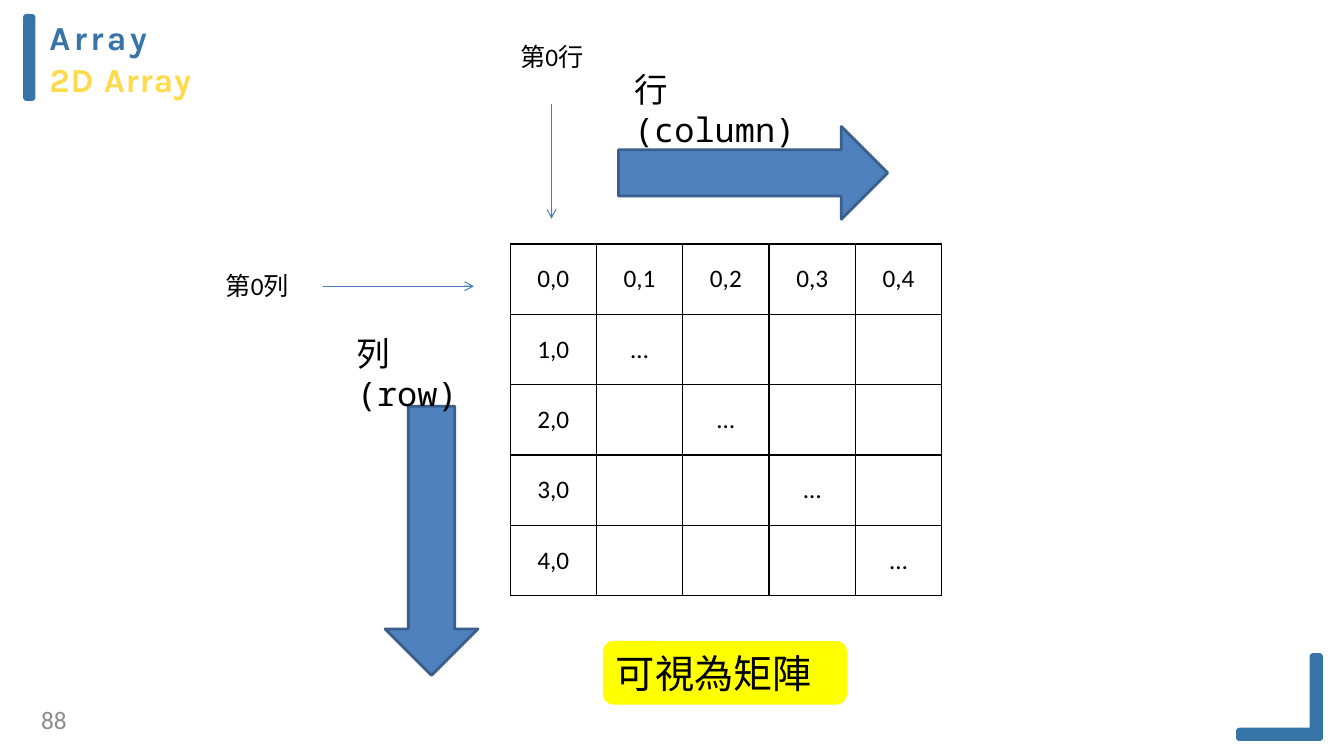
from dataclasses import dataclass

from lxml import etree
from pptx import Presentation
from pptx import util as u
from pptx.dml import color
from pptx.enum import shapes, text
from pptx.oxml import ns

PX = 9144
COLORS = {
    "black": "000000",
    "title": "3774A7",
    "subtitle": "FFDA4A",
    "bar": "3775A9",
    "number": "8C8C8C",
    "arrow": "4F81BD",
    "arrow_edge": "3A5F8C",
    "pointer": "4B7EBC",
    "highlight": "FFFF00",
}
CJK = "Noto Sans CJK SC"
MONO = "Noto Sans Mono"
BODY = "Calibri"
GRID = 5


@dataclass(frozen=True)
class Box:
    left: int
    top: int
    width: int
    height: int

    def emu(self) -> tuple[int, int, int, int]:
        return self.left * PX, self.top * PX, self.width * PX, self.height * PX


@dataclass(frozen=True)
class Run:
    words: str
    size: int
    font: str
    color: str = "black"
    bold: bool = False
    spacing: int = 0


@dataclass(frozen=True)
class Label:
    box: Box
    runs: tuple[Run, ...]


@dataclass(frozen=True)
class Figure:
    kind: shapes.MSO_SHAPE
    box: Box
    fill: str
    edge: str = ""
    edge_width: int = 0
    rotation: int = 0


@dataclass(frozen=True)
class Pointer:
    start: tuple[int, int]
    end: tuple[int, int]


BARS = [Box(25, 16, 8, 82), Box(1301, 650, 9, 83), Box(1228, 724, 82, 9)]
BLOCK_ARROWS = [(Box(382, 403, 92, 267), 0), (Box(701, 38, 92, 267), 270)]
LABELS = [
    Label(Box(344, 325, 142, 50), (Run("列", 24, CJK), Run("(row)", 24, MONO))),
    Label(Box(619, 63, 200, 50), (Run("行", 24, CJK), Run("(column)", 24, MONO))),
    Label(Box(214, 263, 125, 40), (Run("第0列", 18, BODY),)),
    Label(Box(506, 36, 88, 40), (Run("第0行", 18, BODY),)),
]
POINTERS = [Pointer((320, 284), (470, 284)), Pointer((547, 103), (547, 217))]
TITLES = [
    Run("Array", 24, "Karla", "title", True, 240),
    Run("2D Array", 24, "Karla", "subtitle", True, 60),
]


def rgb(name: str) -> color.RGBColor:
    return color.RGBColor.from_string(COLORS[name])


def add_run(paragraph, item: Run) -> None:
    run = paragraph.add_run()
    run.text = item.words
    run.font.size = u.Pt(item.size)
    run.font.name = item.font
    run.font.bold = item.bold
    run.font.color.rgb = rgb(item.color)
    properties = run._r.get_or_add_rPr()
    if item.spacing:
        properties.set("spc", str(item.spacing))
    etree.SubElement(properties, ns.qn("a:ea"), typeface=CJK)


def add_text_box(slide, box: Box, margin: bool = True):
    frame = slide.shapes.add_textbox(*box.emu()).text_frame
    frame.word_wrap = True
    frame.auto_size = text.MSO_AUTO_SIZE.SHAPE_TO_FIT_TEXT
    if not margin:
        frame.margin_left = frame.margin_right = 0
        frame.margin_top = frame.margin_bottom = 0
    return frame


def add_title(slide) -> None:
    frame = add_text_box(slide, Box(49, 17, 451, 83), margin=False)
    for index, item in enumerate(TITLES):
        paragraph = frame.add_paragraph() if index else frame.paragraphs[0]
        paragraph.space_before = u.Pt(1)
        add_run(paragraph, item)


def add_number(slide) -> None:
    paragraph = add_text_box(slide, Box(8, 699, 58, 30), margin=False).paragraphs[0]
    paragraph.alignment = text.PP_ALIGN.RIGHT
    add_run(paragraph, Run("88", 18, BODY, "number"))


def add_label(slide, label: Label) -> None:
    paragraph = add_text_box(slide, label.box).paragraphs[0]
    for item in label.runs:
        add_run(paragraph, item)


def add_figure(slide, figure: Figure):
    shape = slide.shapes.add_shape(figure.kind, *figure.box.emu())
    shape.shadow.inherit = False
    shape.rotation = figure.rotation
    shape.fill.solid()
    shape.fill.fore_color.rgb = rgb(figure.fill)
    if figure.edge:
        shape.line.color.rgb = rgb(figure.edge)
        shape.line.width = u.Pt(figure.edge_width)
    else:
        shape.line.fill.background()
    return shape


def add_pointer(slide, pointer: Pointer) -> None:
    ends = [value * PX for value in pointer.start + pointer.end]
    connector = slide.shapes.add_connector(shapes.MSO_CONNECTOR.STRAIGHT, *ends)
    connector.line.color.rgb = rgb("pointer")
    connector.line.width = u.Pt(0.75)
    etree.SubElement(connector.line._get_or_add_ln(), ns.qn("a:tailEnd"), type="arrow")
    etree.SubElement(connector._element.spPr, ns.qn("a:effectLst"))


def add_borders(cell) -> None:
    properties = cell._tc.get_or_add_tcPr()
    for side in ("lnL", "lnR", "lnT", "lnB"):
        line = etree.SubElement(properties, ns.qn(f"a:{side}"), w=str(u.Pt(1)))
        fill = etree.SubElement(line, ns.qn("a:solidFill"))
        etree.SubElement(fill, ns.qn("a:srgbClr"), val=COLORS["black"])


def cell_words(row: int, column: int) -> str:
    if row == 0 or column == 0:
        return f"{row},{column}"
    return "…" if row == column else ""


def add_matrix(slide) -> None:
    box = Box(506, 242, 428, 349)
    table = slide.shapes.add_table(GRID, GRID, *box.emu()).table
    table.first_row = False
    table.horz_banding = False
    for row in range(GRID):
        for column in range(GRID):
            cell = table.cell(row, column)
            add_borders(cell)
            cell.fill.background()
            cell.vertical_anchor = text.MSO_ANCHOR.MIDDLE
            words = cell_words(row, column)
            if words:
                paragraph = cell.text_frame.paragraphs[0]
                paragraph.alignment = text.PP_ALIGN.CENTER
                add_run(paragraph, Run(words, 18, BODY))


def add_note(slide) -> None:
    box = Box(598, 636, 242, 63)
    shape = add_figure(slide, Figure(shapes.MSO_SHAPE.ROUNDED_RECTANGLE, box, "highlight"))
    paragraph = shape.text_frame.paragraphs[0]
    paragraph.alignment = text.PP_ALIGN.LEFT
    add_run(paragraph, Run("可視為矩陣", 28, CJK))


def main() -> None:
    presentation = Presentation()
    presentation.slide_width = 1333 * PX
    presentation.slide_height = 750 * PX
    slide = presentation.slides.add_slide(presentation.slide_layouts[6])
    add_title(slide)
    for box in BARS:
        add_figure(slide, Figure(shapes.MSO_SHAPE.ROUNDED_RECTANGLE, box, "bar", "title", 3))
    add_number(slide)
    add_matrix(slide)
    for box, turn in BLOCK_ARROWS:
        kind = shapes.MSO_SHAPE.DOWN_ARROW
        add_figure(slide, Figure(kind, box, "arrow", "arrow_edge", 2, turn))
    for label in LABELS:
        add_label(slide, label)
    for pointer in POINTERS:
        add_pointer(slide, pointer)
    add_note(slide)
    presentation.save("out.pptx")


if __name__ == "__main__":
    main()
